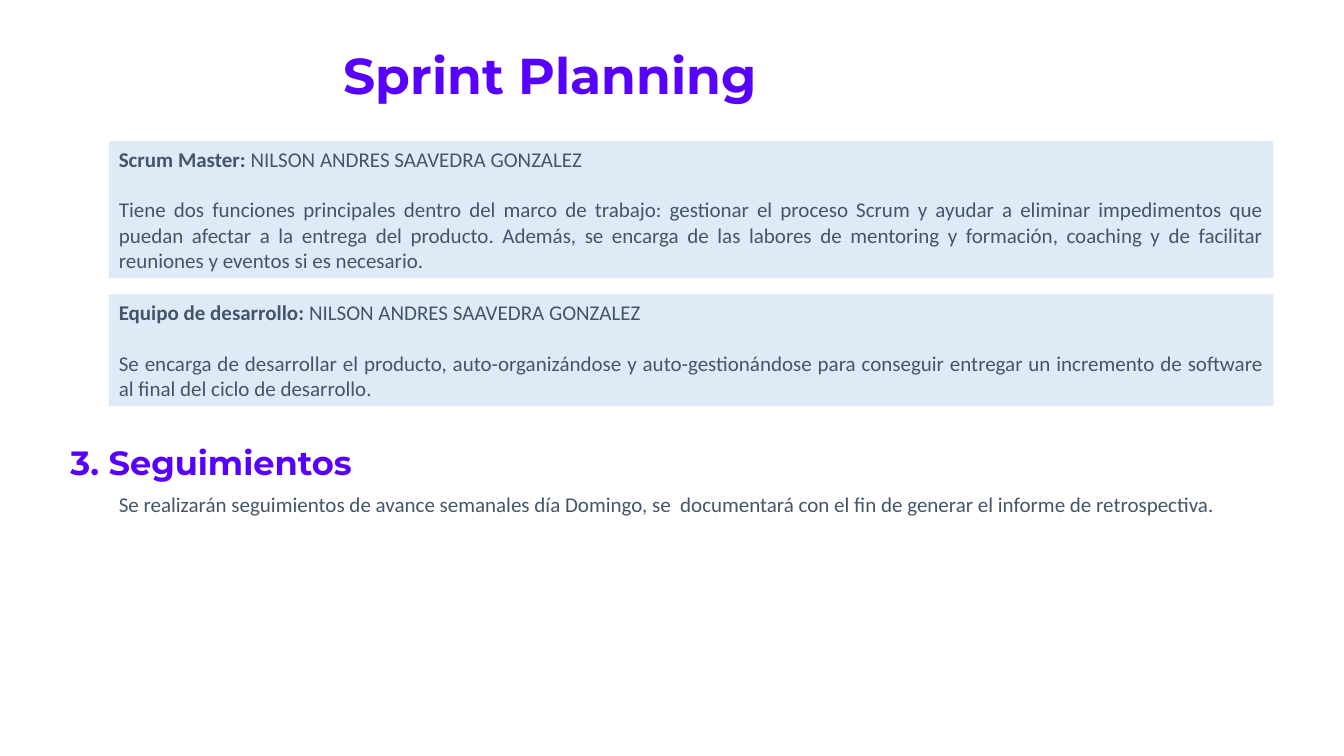
"""Build the Sprint Planning slide with its roles and follow-up section."""
from pptx import Presentation
from pptx.dml.color import RGBColor
from pptx.enum.shapes import MSO_SHAPE
from pptx.enum.text import MSO_ANCHOR, MSO_AUTO_SIZE, PP_ALIGN
from pptx.util import Inches, Pt

COLORS = {"heading": "5700FE", "body": "44546A", "panel": "DEEBF7"}
TITLE = "Sprint Planning"
PERSON = "NILSON ANDRES SAAVEDRA GONZALEZ"
ROLES = [
    ("Scrum Master: ", PERSON,
     "Tiene dos funciones principales dentro del marco de trabajo: gestionar el proceso Scrum "
     "y ayudar a eliminar impedimentos que puedan afectar a la entrega del producto. Además, "
     "se encarga de las labores de mentoring y formación, coaching y de facilitar reuniones "
     "y eventos si es necesario.", 1.36),
    ("Equipo de desarrollo: ", PERSON,
     "Se encarga de desarrollar el producto, auto-organizándose y auto-gestionándose para "
     "conseguir entregar un incremento de software al final del ciclo de desarrollo.", 1.11),
]
SECTION = "3. Seguimientos"
FOLLOW_UP = ("Se realizarán seguimientos de avance semanales día Domingo, se  documentará "
             "con el fin de generar el informe de retrospectiva.")

LEFT, ROLE_TOP, ROLE_WIDTH, ROLE_GAP = 1.08, 1.4, 11.55, 0.16
BLANK_LINE = 18.3
HEADING = dict(font="Montserrat", color="heading", align=PP_ALIGN.LEFT, spacing=0.9)


def write(shape, paragraphs, size=15, font="Calibri", color="body",
          align=PP_ALIGN.JUSTIFY, spacing=1.0, gap=0):
    """Fill a shape with paragraphs, each a list of (text, bold) runs."""
    frame = shape.text_frame
    frame.word_wrap = True
    frame.auto_size = MSO_AUTO_SIZE.NONE
    frame.vertical_anchor = MSO_ANCHOR.TOP
    for index, runs in enumerate(paragraphs):
        paragraph = frame.add_paragraph() if index else frame.paragraphs[0]
        paragraph.alignment = align
        paragraph.line_spacing = spacing
        paragraph.space_before = Pt(gap if index else 0)
        for text, bold in runs:
            run = paragraph.add_run()
            run.text = text
            run.font.size = Pt(size)
            run.font.name = font
            run.font.bold = bold
            run.font.color.rgb = RGBColor.from_string(COLORS[color])


def main():
    """Lay out the slide and save it."""
    deck = Presentation()
    deck.slide_width, deck.slide_height = Inches(13.33), Inches(7.5)
    slide = deck.slides.add_slide(deck.slide_layouts[5])
    shapes = slide.shapes

    title = shapes.title
    title.left, title.top = Inches(3.31), Inches(0.46)
    title.width, title.height = Inches(6.61), Inches(0.81)
    write(title, [[(TITLE, True)]], size=36, **HEADING)

    top = ROLE_TOP
    for role, person, duties, height in ROLES:
        panel = shapes.add_shape(MSO_SHAPE.RECTANGLE, Inches(LEFT), Inches(top),
                                 Inches(ROLE_WIDTH), Inches(height))
        panel.shadow.inherit = False
        panel.fill.solid()
        panel.fill.fore_color.rgb = RGBColor.from_string(COLORS["panel"])
        panel.line.fill.background()
        write(panel, [[(role, True), (person, False)], [(duties, False)]], gap=BLANK_LINE)
        top += height + ROLE_GAP

    section = shapes.add_textbox(Inches(0.6), Inches(4.38), Inches(6.61), Inches(0.51))
    write(section, [[(SECTION, True)]], size=24, **HEADING)
    follow_up = shapes.add_textbox(Inches(LEFT), Inches(4.83), Inches(11.46), Inches(0.35))
    write(follow_up, [[(FOLLOW_UP, False)]])

    deck.save("out.pptx")


if __name__ == "__main__":
    main()
